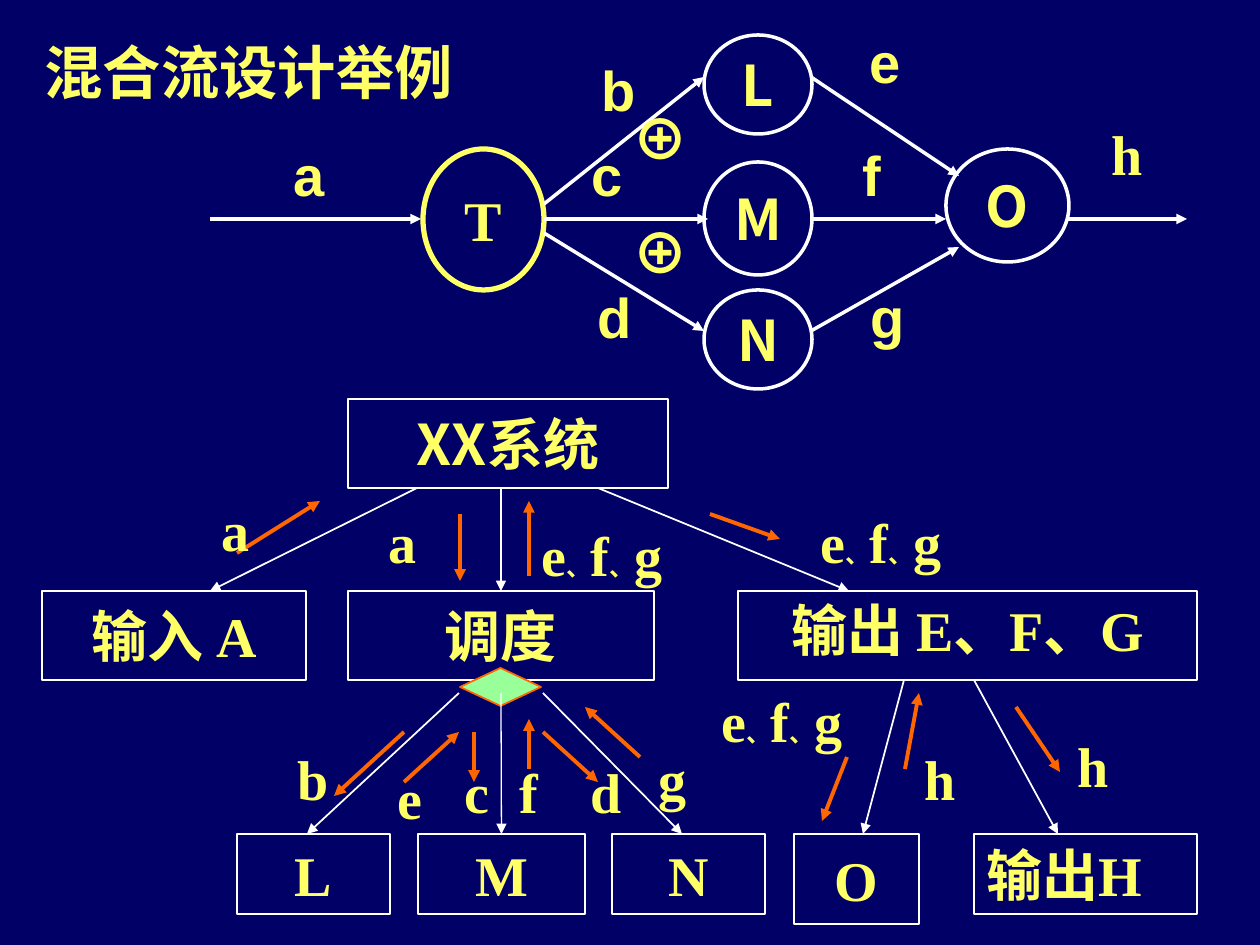
from lxml.etree import SubElement
from pptx import Presentation
from pptx.dml.color import RGBColor
from pptx.enum.shapes import MSO_CONNECTOR, MSO_SHAPE
from pptx.enum.text import MSO_ANCHOR, PP_ALIGN
from pptx.oxml.ns import qn
from pptx.util import Emu, Pt

NAVY = RGBColor(0x00, 0x00, 0x66)
YELLOW = RGBColor(0xFF, 0xFF, 0x66)
WHITE = RGBColor(0xFF, 0xFF, 0xFF)
ORANGE = RGBColor(0xFF, 0x66, 0x00)
GREEN = RGBColor(0x99, 0xFF, 0x99)
SANS, SERIF, ARIAL = "Noto Sans CJK SC", "Times New Roman", "Arial"
PX = 914400 / 126


def write(frame, pieces, align, anchor, wrap=True):
    frame.word_wrap = wrap
    frame.vertical_anchor = anchor
    paragraph = frame.paragraphs[0]
    paragraph.alignment = align
    for text, font, size in pieces:
        run = paragraph.add_run()
        run.text = text
        run.font.size = Pt(size)
        run.font.bold = True
        run.font.color.rgb = YELLOW
        run.font.name = font
        SubElement(run.font._element, qn("a:ea")).set("typeface", SANS)
    return paragraph


def add_node(kind, bounds, fill, outline, weight):
    node = slide.shapes.add_shape(kind, *[Emu(round(v * PX)) for v in bounds])
    node.shadow.inherit = False
    if fill is None:
        node.fill.background()
    else:
        node.fill.solid()
        node.fill.fore_color.rgb = fill
    node.line.color.rgb = outline
    node.line.width = Pt(weight)
    return node


prs = Presentation()
prs.slide_width = Emu(round(1260 * PX))
prs.slide_height = Emu(round(945 * PX))
slide = prs.slides.add_slide(prs.slide_layouts[5])
slide.background.fill.solid()
slide.background.fill.fore_color.rgb = NAVY

title = slide.shapes.title
title.left, title.top, title.width, title.height = [
    Emu(round(v * PX)) for v in (32, 32, 536, 87)]
heading = write(title.text_frame, [("混合流设计举例", SANS, 33.3)],
                PP_ALIGN.LEFT, MSO_ANCHOR.MIDDLE)
heading.line_spacing = 0.9

modules = [
    ("system", [("XX系统", SANS, 32)], (348, 399, 320, 89), 1),
    ("input", [("输入 A", SERIF, 32)], (42, 591, 264, 89), 1),
    ("dispatch", [("调度", SANS, 32)], (348, 591, 306, 89), 1),
    ("outputs", [("输出 ", SANS, 32), ("E、F、G", SERIF, 32)], (738, 591, 459, 89), 1),
    ("H", [("输出", SANS, 32), ("H", SERIF, 32)], (974, 834, 223, 80), 1),
    ("O", [("O", SERIF, 32)], (794, 834, 125, 90), 1),
    ("L", [("L", SERIF, 32)], (237, 834, 153, 80), 0.75),
    ("M", [("M", SERIF, 32)], (418, 834, 167, 80), 0.75),
    ("N", [("N", SERIF, 32)], (612, 834, 153, 80), 0.75),
]
boxes = {}
for name, pieces, bounds, weight in modules:
    boxes[name] = add_node(MSO_SHAPE.RECTANGLE, bounds, None, WHITE, weight)
    align = PP_ALIGN.LEFT if name == "H" else PP_ALIGN.CENTER
    anchor = MSO_ANCHOR.TOP if name in "HLMN" else MSO_ANCHOR.MIDDLE
    caption = write(boxes[name].text_frame, pieces, align, anchor)
    if name == "outputs":
        caption.line_spacing = 0.8

add_node(MSO_SHAPE.DIAMOND, (460, 668, 81, 38), GREEN, ORANGE, 1)

bubbles = [
    ("T", SERIF, (423, 149, 121, 141), YELLOW, 3),
    ("L", SANS, (704, 35, 108, 99), WHITE, 2),
    ("M", SANS, (704, 162, 108, 113), WHITE, 2),
    ("N", SANS, (704, 290, 108, 99), WHITE, 2),
    ("O", SANS, (946, 149, 123, 113), WHITE, 2),
]
for letter, font, bounds, outline, weight in bubbles:
    bubble = add_node(MSO_SHAPE.OVAL, bounds, NAVY, outline, weight)
    write(bubble.text_frame, [(letter, font, 32)], PP_ALIGN.CENTER,
          MSO_ANCHOR.MIDDLE, False)

calls = [
    (501, 488, 501, 591), (417, 488, 210, 591), (598, 488, 849, 591),
    (904, 680, 863, 834), (974, 680, 1058, 834),
    (543, 693, 682, 834), (459, 693, 307, 834),
]
dispatch_to_m = [(501, 693, 501, 834)]
data_moves = [
    (237, 553, 320, 501), (460, 514, 460, 581), (529, 576, 529, 501),
    (710, 514, 780, 539), (905, 769, 919, 693), (847, 757, 822, 821),
    (1016, 707, 1060, 772), (640, 757, 585, 707), (543, 732, 598, 782),
    (404, 732, 334, 796), (474, 732, 474, 782), (529, 769, 529, 719),
    (404, 782, 459, 732),
]
flows = [
    (210, 219, 421, 219), (544, 219, 708, 219), (811, 219, 946, 219),
    (1066, 219, 1187, 219), (811, 331, 959, 247), (544, 233, 704, 331),
    (544, 204, 704, 77), (811, 77, 959, 176),
]
targets = {(501, 591): boxes["dispatch"], (501, 834): boxes["M"]}
for routes, colour, weight in [(calls, WHITE, 1), (dispatch_to_m, WHITE, 0.75),
                               (data_moves, ORANGE, 2.25), (flows, WHITE, 2)]:
    for route in routes:
        arrow = slide.shapes.add_connector(
            MSO_CONNECTOR.STRAIGHT, *[Emu(round(v * PX)) for v in route])
        arrow.line.color.rgb = colour
        arrow.line.width = Pt(weight)
        SubElement(arrow.line._get_or_add_ln(), qn("a:tailEnd")).set("type", "triangle")
        SubElement(arrow._element.spPr, qn("a:effectLst"))
        if route[2:] in targets:
            arrow.end_connect(targets[route[2:]], 0)

EFG = [("e", SERIF, 32), ("、", SERIF, 14), ("f", SERIF, 32),
       ("、", SERIF, 14), ("g", SERIF, 32)]
labels = [(EFG, left, top, 223) for left, top in [(529, 514), (808, 501), (709, 680)]]
letters = {
    SERIF: [("a", 209, 489, 54), ("a", 375, 501, 54), ("b", 285, 738, 57),
            ("e", 375, 757, 69), ("c", 452, 751, 50), ("f", 507, 751, 44),
            ("d", 578, 751, 57), ("g", 646, 738, 53), ("h", 912, 738, 57),
            ("h", 1065, 725, 57), ("h", 1099, 113, 57)],
    ARIAL: [("a", 249, 134, 121), ("b", 558, 49, 121), ("e", 825, 21, 121),
            ("f", 811, 134, 121), ("g", 839, 276, 98), ("d", 571, 276, 87),
            ("c", 558, 134, 98)],
    SANS: [("⊕", 620, 98, 59), ("⊕", 620, 212, 59)],
}
for font, entries in letters.items():
    labels += [([(text, font, 32)], left, top, width) for text, left, top, width in entries]
for pieces, left, top, width in labels:
    label = slide.shapes.add_textbox(*[Emu(round(v * PX)) for v in (left, top, width, 80)])
    several = len(pieces) > 1
    write(label.text_frame, pieces, PP_ALIGN.LEFT if several else PP_ALIGN.CENTER,
          MSO_ANCHOR.TOP, several)

prs.save("out.pptx")
